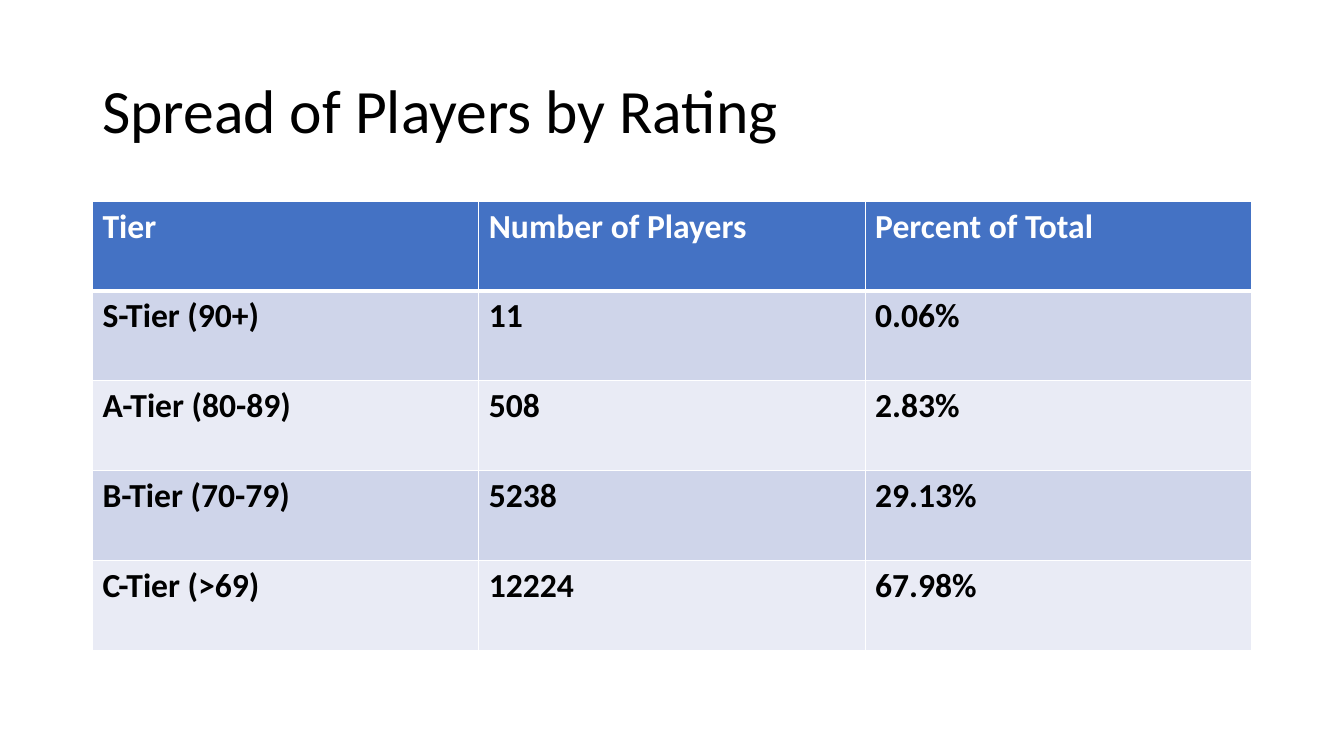
from dataclasses import dataclass
from typing import Any

from lxml import etree
from pptx import Presentation
from pptx import util as u
from pptx.dml.color import RGBColor
from pptx.enum import text
from pptx.oxml.ns import qn


@dataclass(frozen=True)
class Theme:
    font: str = "Calibri"
    title_size: int = 44
    table_size: int = 24
    dark: str = "000000"
    light: str = "FFFFFF"
    header_fill: str = "4472C4"
    band_fills: tuple[str, str] = ("CFD5EA", "E9EBF5")
    thin_border: int = 1
    header_border: int = 3


@dataclass(frozen=True)
class TierRow:
    tier: str
    players: str
    percent: str


THEME = Theme()
LEFT, WIDTH = u.Cm(2.33), u.Cm(29.21)
HEADER = TierRow("Tier", "Number of Players", "Percent of Total")
TIERS = (
    TierRow("S-Tier (90+)", "11", "0.06%"),
    TierRow("A-Tier (80-89)", "508", "2.83%"),
    TierRow("B-Tier (70-79)", "5238", "29.13%"),
    TierRow("C-Tier (>69)", "12224", "67.98%"),
)


def write_text(frame: Any, words: str, size: int, color: str, bold: bool) -> None:
    run = frame.paragraphs[0].add_run()
    run.text = words
    font_format = {"name": THEME.font, "size": u.Pt(size), "bold": bold}
    for attribute, value in font_format.items():
        setattr(run.font, attribute, value)
    run.font.color.rgb = RGBColor.from_string(color)


def add_borders(cell: Any, top: int, bottom: int) -> None:
    """Rule the four sides; call before filling, as borders precede the fill in XML."""
    properties = cell._tc.get_or_add_tcPr()
    thin = THEME.thin_border
    for side, points in {"L": thin, "R": thin, "T": top, "B": bottom}.items():
        line = etree.SubElement(properties, qn(f"a:ln{side}"), w=str(u.Pt(points)))
        fill = etree.SubElement(line, qn("a:solidFill"))
        etree.SubElement(fill, qn("a:srgbClr"), val=THEME.light)


def add_title(slide: Any, words: str) -> None:
    title = slide.shapes.add_textbox(LEFT, u.Cm(1.01), WIDTH, u.Cm(3.68))
    frame = title.text_frame
    frame_format = {"word_wrap": True, "vertical_anchor": text.MSO_ANCHOR.MIDDLE}
    for attribute, value in frame_format.items():
        setattr(frame, attribute, value)
    frame.paragraphs[0].line_spacing = 0.9
    write_text(frame, words, THEME.title_size, THEME.dark, False)


def add_tier_table(slide: Any, rows: tuple[TierRow, ...]) -> None:
    table = slide.shapes.add_table(
        len(rows), 3, LEFT, u.Cm(5.07), WIDTH, u.Cm(11.32)
    ).table
    for row_index, row in enumerate(rows):
        is_header = row_index == 0
        fill = THEME.header_fill if is_header else THEME.band_fills[(row_index - 1) % 2]
        color = THEME.light if is_header else THEME.dark
        top = THEME.header_border if row_index == 1 else THEME.thin_border
        bottom = THEME.header_border if is_header else THEME.thin_border
        for column, words in enumerate((row.tier, row.players, row.percent)):
            cell = table.cell(row_index, column)
            add_borders(cell, top, bottom)
            cell.fill.solid()
            cell.fill.fore_color.rgb = RGBColor.from_string(fill)
            write_text(cell.text_frame, words, THEME.table_size, color, True)


def main() -> None:
    presentation = Presentation()
    presentation.slide_width, presentation.slide_height = u.Cm(33.87), u.Cm(19.05)
    slide = presentation.slides.add_slide(presentation.slide_layouts[6])
    add_title(slide, "Spread of Players by Rating")
    add_tier_table(slide, (HEADER, *TIERS))
    presentation.save("out.pptx")


if __name__ == "__main__":
    main()
